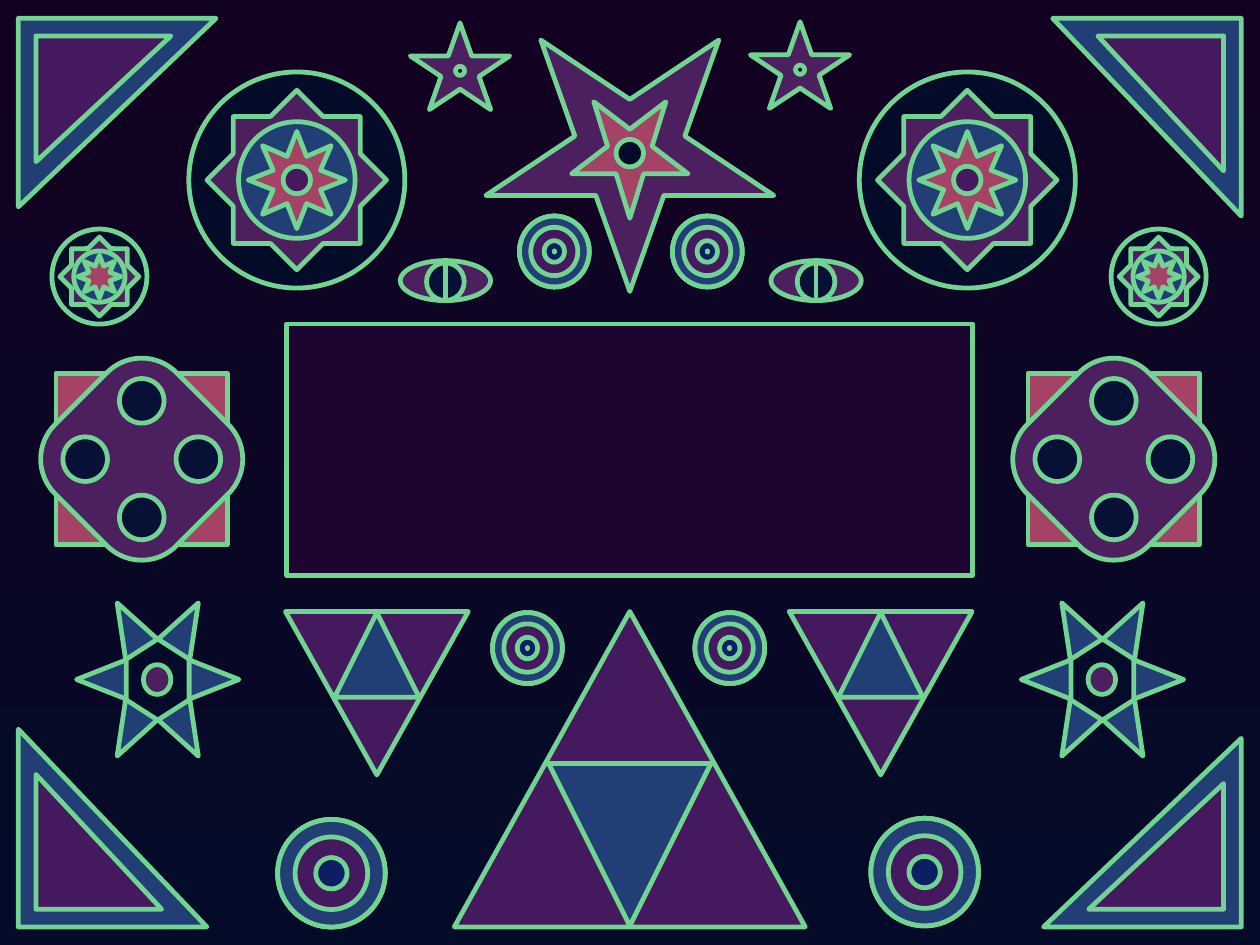
from dataclasses import dataclass

from lxml import etree
from pptx import Presentation
from pptx import util as u
from pptx.dml.color import RGBColor
from pptx.enum import shapes
from pptx.oxml.ns import qn

# Page size, and the square grid cell in which all lengths below are counted
PAGE_WIDTH, PAGE_HEIGHT = u.Cm(28), u.Cm(21)
CELL = u.Inches(0.1)

MINT, PLUM, VIOLET, BLUE = "71D492", "4C1F5E", "45195D", "213F75"
ROSE, NIGHT, INK, ROYAL = "A44366", "030B28", "071136", "0D1F63"
Form = shapes.MSO_SHAPE
Point = tuple[float, float]


@dataclass(frozen=True)
class Layer:
    """One outline of a motif, offset from the motif's centre."""
    form: Form
    fill: str
    width: float
    height: float
    dx: float = 0
    dy: float = 0
    turn: float = 0
    adjust: float | None = None


@dataclass(frozen=True)
class Motif:
    layers: list[Layer]
    centres: list[Point]


def cells(count: float) -> int:
    return round(count * CELL)


def colour(value: str) -> RGBColor:
    return RGBColor.from_string(value)


def outline(item) -> None:
    item.line.color.rgb = colour(MINT)
    item.line.width = u.Pt(3)
    etree.SubElement(item.element.spPr.find(qn("a:ln")), qn("a:round"))


def finish(item, fill: str) -> None:
    item.fill.solid()
    item.fill.fore_color.rgb = colour(fill)
    outline(item)
    item.shadow.inherit = False


def draw_layer(slide, layer: Layer, centre: Point) -> None:
    left = centre[0] + layer.dx - layer.width / 2
    top = centre[1] + layer.dy - layer.height / 2
    item = slide.shapes.add_shape(layer.form, cells(left), cells(top),
                                  cells(layer.width), cells(layer.height))
    item.rotation = layer.turn
    if layer.adjust is not None:
        item.adjustments[0] = layer.adjust
    finish(item, layer.fill)


def draw_motif(slide, motif: Motif) -> None:
    for centre in motif.centres:
        for layer in motif.layers:
            draw_layer(slide, layer, centre)


def draw_rays(slide, centre: Point) -> None:
    half = [(-7.1, 0), (-2.8, -1.7), (-3.55, -6.7), (0, -3.5), (3.55, -6.7), (2.8, -1.7)]
    rays = half + [(-x, -y) for x, y in half]
    points = [(cells(centre[0] + x), cells(centre[1] + y)) for x, y in rays]
    builder = slide.shapes.build_freeform(*points[0])
    builder.add_line_segments(points[1:], close=True)
    finish(builder.convert_to_shape(), BLUE)


def draw_pupil(slide, centre: Point) -> None:
    x, y = centre
    pupil = slide.shapes.add_connector(shapes.MSO_CONNECTOR.STRAIGHT, cells(x),
                                       cells(y - 1.55), cells(x), cells(y + 1.75))
    outline(pupil)
    etree.SubElement(pupil.element.spPr, qn("a:effectLst"))


def disc(fill: str, size: float, dx: float = 0, dy: float = 0) -> Layer:
    return Layer(Form.OVAL, fill, size, size, dx, dy)


def rosette(scale: float) -> list[Layer]:
    outer, inner = 15.7 * scale, 8.5 * scale
    return [
        disc(NIGHT, 18.9 * scale),
        Layer(Form.STAR_8_POINT, PLUM, outer, outer, adjust=0.383),
        disc(BLUE, 10.2 * scale),
        Layer(Form.STAR_8_POINT, ROSE, inner, inner, adjust=0.263),
    ]


def target(width: float, height: float) -> list[Layer]:
    rings = [(ROYAL, 0.5), (VIOLET, 0.354), (BLUE, 0.162)]
    return [Layer(Form.DONUT, fill, width, height, adjust=ring) for fill, ring in rings]


def corner(turn: float, x_side: int, y_side: int) -> list[Layer]:
    return [
        Layer(Form.RIGHT_TRIANGLE, BLUE, 16.5, 17.3, turn=turn),
        Layer(Form.RIGHT_TRIANGLE, VIOLET, 11, 11.8, 1.2 * x_side, 1.2 * y_side, turn),
    ]


def split_triangle(width: float, height: float, inner: float, dy: float,
                   turn: float) -> list[Layer]:
    return [
        Layer(Form.ISOSCELES_TRIANGLE, VIOLET, width, height, turn=turn),
        Layer(Form.ISOSCELES_TRIANGLE, BLUE, inner, inner, 0, dy, 180 - turn),
    ]


PANEL = Motif([Layer(Form.RECTANGLE, "1C052E", 60, 22)], [(55.1, 39.35)])
CORNERS = [
    Motif(corner(0, -1, 1), [(9.85, 72.45)]),
    Motif(corner(90, -1, -1), [(10.25, 9.85)]),
    Motif(corner(180, 1, -1), [(100.35, 10.25)]),
    Motif(corner(270, 1, 1), [(99.95, 72.85)]),
]
STARS = [
    Motif([Layer(Form.STAR_5_POINT, PLUM, 25.2, 22, turn=180),
           Layer(Form.STAR_5_POINT, ROSE, 10.2, 10.2, 0, -0.5, 180),
           disc(NIGHT, 2.4, dy=-1.1)], [(55.1, 14.5)]),
    Motif([Layer(Form.STAR_5_POINT, PLUM, 8.7, 7.6), disc(NIGHT, 0.8, dy=0.4)],
          [(40.25, 5.8), (70, 5.7)]),
]
ROSETTES = [
    Motif(rosette(1) + [disc(VIOLET, 2.4)], [(25.97, 15.75), (84.63, 15.75)]),
    Motif(rosette(0.44), [(8.7, 24.2), (101.37, 24.2)]),
]
TRIANGLES = [
    Motif(split_triangle(30.7, 27.6, 14.2, 6.6, 0), [(55.1, 67.3)]),
    Motif(split_triangle(16, 14.3, 7.4, -3.35, 180), [(32.97, 60.65), (77.05, 60.65)]),
]
TARGETS = [
    Motif(target(9.4, 9.4), [(29, 76.4), (80.9, 76.3)]),
    Motif(target(6.1, 6.2), [(46.15, 56.7), (63.85, 56.7), (48.5, 22), (61.88, 22)]),
]
QUATREFOILS = Motif(
    [Layer(Form.RECTANGLE, ROSE, 15, 15),
     Layer(Form.ROUNDED_RECTANGLE, PLUM, 15, 15, turn=315, adjust=0.285)]
    + [disc(INK, 3.9, dx, dy) for dx, dy in [(0, -5.1), (0, 5.1), (-4.95, 0), (4.95, 0)]],
    [(12.4, 40.17), (97.45, 40.17)])
RAY_HEARTS = Motif(
    [Layer(Form.HEXAGON, NIGHT, 7.1, 5.5, turn=270, adjust=0.321),
     Layer(Form.OVAL, PLUM, 2.6, 2.4, -0.05, turn=270)],
    [(13.8, 59.45), (96.45, 59.45)])
EYES = Motif([Layer(Form.OVAL, PLUM, 7.9, 3.5), disc(INK, 3.3, dy=0.1)],
             [(38.97, 24.55), (71.4, 24.55)])


def main() -> None:
    deck = Presentation()
    deck.slide_width, deck.slide_height = PAGE_WIDTH, PAGE_HEIGHT
    slide = deck.slides.add_slide(deck.slide_layouts[6])

    # Night sky, darkening upwards
    sky = slide.background.fill
    sky.gradient()
    sky.gradient_angle = 270
    for stop, shade in zip(sky.gradient_stops, ("130121", NIGHT)):
        stop.color.rgb = colour(shade)

    # Layered ornaments
    for motif in [PANEL, *CORNERS, *STARS, *ROSETTES, *TRIANGLES, *TARGETS, QUATREFOILS]:
        draw_motif(slide, motif)

    # Six-rayed stars with their hearts
    for centre in RAY_HEARTS.centres:
        draw_rays(slide, centre)
    draw_motif(slide, RAY_HEARTS)

    # Eyes with slit pupils
    draw_motif(slide, EYES)
    for centre in EYES.centres:
        draw_pupil(slide, centre)

    deck.save("out.pptx")


if __name__ == "__main__":
    main()
